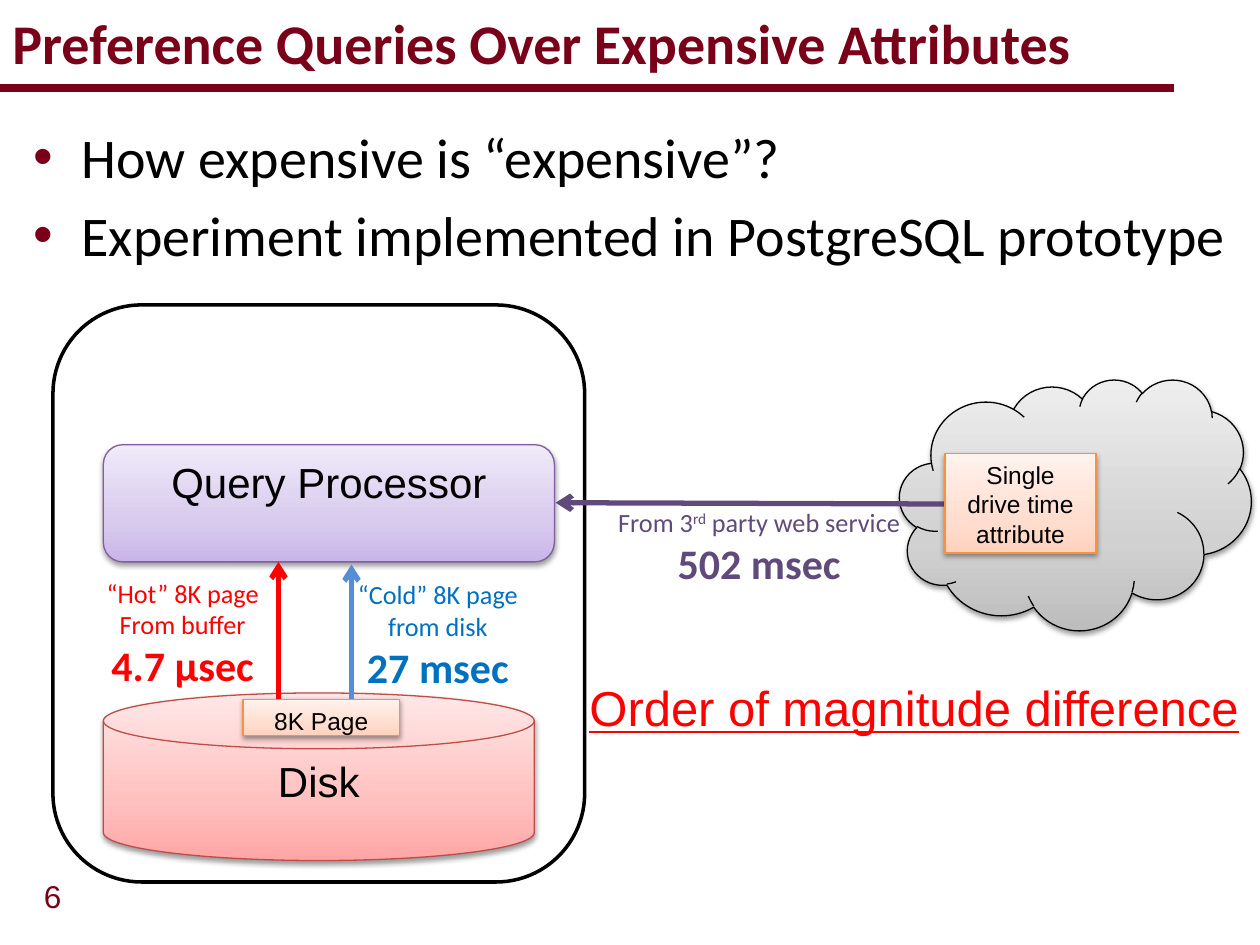
from lxml import etree
from pptx import Presentation
from pptx import util as u
from pptx.dml.color import RGBColor
from pptx.enum import shapes, text
from pptx.oxml import ns

COLORS = {
    "maroon": "7A0019", "black": "000000", "white": "FFFFFF", "red": "FF0000",
    "blue": "0070C0", "sky": "558ED5", "purple": "604A7B",
    "violet_line": "7D60A0", "rose_line": "BF4C48", "orange_line": "F69240",
}
GRADIENTS = {
    "violet": ("C9B5E8", "D8CBEE", "F0EAF9"),
    "rose": ("FFA6A5", "FFC0BF", "FFE7E7"),
    "gray": ("BDBDBD", "D1D1D1", "EEEEEE"),
    "orange": ("FFD2BD", "FFDED0", "FFF2ED"),
}
STOPS = (0, 35, 100)
SHAPE = shapes.MSO_SHAPE
CENTER = text.PP_ALIGN.CENTER
LEFT = text.PP_ALIGN.LEFT


def rgb(name):
    return RGBColor.from_string(COLORS[name])


def add_xml(parent, tag, **attributes):
    child = etree.SubElement(parent, ns.qn(tag))
    for key, value in attributes.items():
        child.set(key, str(value))
    return child


def write(para, content, size, color, font="Calibri", bold=False,
          underline=False, align=LEFT, raised=False):
    para.alignment = align
    span = para.add_run()
    span.text = content
    span.font.name = font
    span.font.size = u.Pt(size)
    span.font.bold = bold
    span.font.underline = underline
    span.font.color.rgb = rgb(color)
    if raised:
        span.font._element.set("baseline", "30000")


def add_box(page, left, top, width, height, wrap=True):
    box = page.shapes.add_textbox(u.Inches(left), u.Inches(top),
                                  u.Inches(width), u.Inches(height))
    box.text_frame.word_wrap = wrap
    return box.text_frame


def add_bullets(page, lines):
    frame = add_box(page, 0.17, 0.92, 9.67, 1.17)
    for index, line in enumerate(lines):
        para = frame.add_paragraph() if index else frame.paragraphs[0]
        properties = para._p.get_or_add_pPr()
        properties.set("marL", str(u.Inches(0.38)))
        properties.set("indent", str(-u.Inches(0.38)))
        bullet_color = add_xml(properties, "a:buClr")
        add_xml(bullet_color, "a:srgbClr", val=COLORS["maroon"])
        add_xml(properties, "a:buFont", typeface="Arial")
        add_xml(properties, "a:buChar", char="•")
        if index:
            para.space_before = u.Pt(6.4)
        write(para, line, 32, "black")


def add_cost(page, left, top, width, height, color, captions, cost):
    frame = add_box(page, left, top, width, height)
    para = frame.paragraphs[0]
    for index, caption in enumerate(captions):
        if index:
            para = frame.add_paragraph()
        for part, raised in caption:
            write(para, part, 15, color, align=CENTER, raised=raised)
    write(frame.add_paragraph(), cost, 24, color, bold=True, align=CENTER)


def add_outline(page, kind, left, top, width, height, line, weight):
    shape = page.shapes.add_shape(kind, u.Inches(left), u.Inches(top),
                                  u.Inches(width), u.Inches(height))
    shape.shadow.inherit = False
    shape.fill.solid()
    shape.fill.fore_color.rgb = rgb("white")
    shape.line.color.rgb = rgb(line)
    shape.line.width = u.Pt(weight)
    return shape


def add_shaded(page, kind, left, top, width, height, gradient, line,
               label="", size=24):
    shape = add_outline(page, kind, left, top, width, height, line, 0.75)
    shape.fill.gradient()
    shape.fill.gradient_angle = 90
    stops = shape._element.spPr.find(ns.qn("a:gradFill")).find(ns.qn("a:gsLst"))
    for stop in list(stops):
        stops.remove(stop)
    for position, color in zip(STOPS, GRADIENTS[gradient]):
        stop = add_xml(stops, "a:gs", pos=position * 1000)
        add_xml(stop, "a:srgbClr", val=color)
    effects = shape._element.spPr.find(ns.qn("a:effectLst"))
    shadow = add_xml(effects, "a:outerShdw", blurRad=u.Pt(3.1), dist=u.Pt(1.6),
                     dir=90 * 60000, rotWithShape=0)
    shade = add_xml(shadow, "a:srgbClr", val=COLORS["black"])
    add_xml(shade, "a:alpha", val=38000)
    if label:
        frame = shape.text_frame
        frame.word_wrap = True
        frame.vertical_anchor = text.MSO_ANCHOR.TOP
        write(frame.paragraphs[0], label, size, "black", "Arial", align=CENTER)


def add_line(page, start, end, color, weight, arrow=True):
    line = page.shapes.add_connector(
        shapes.MSO_CONNECTOR.STRAIGHT,
        *(u.Inches(value) for value in (*start, *end)))
    line.line.color.rgb = rgb(color)
    line.line.width = u.Pt(weight)
    if arrow:
        add_xml(line.line._get_or_add_ln(), "a:tailEnd", type="arrow")
    add_xml(line._element.spPr, "a:effectLst")


def add_heading(page):
    number = add_box(page, 0.25, 6.91, 0.51, 0.4, wrap=False)
    write(number.paragraphs[0], "6", 18, "maroon", "Arial")
    add_line(page, (-0.01, 0.7), (9.32, 0.7), "maroon", 4.5, arrow=False)
    title = add_box(page, 0, 0, 9.5, 0.67)
    title.vertical_anchor = text.MSO_ANCHOR.MIDDLE
    write(title.paragraphs[0], "Preference Queries Over Expensive Attributes",
          32, "maroon", bold=True)


def add_diagram(page):
    add_outline(page, SHAPE.ROUNDED_RECTANGLE, 0.42, 2.42, 4.22, 4.58, "black", 2)
    add_shaded(page, SHAPE.ROUNDED_RECTANGLE, 0.82, 3.53, 3.58, 0.93,
               "violet", "violet_line", "Query Processor")
    add_shaded(page, SHAPE.FLOWCHART_MAGNETIC_DISK, 0.82, 5.5, 3.42, 1.33,
               "rose", "rose_line", "Disk")
    add_shaded(page, SHAPE.CLOUD, 7.14, 3.01, 2.79, 1.99, "gray", "black")
    add_line(page, (2.21, 5.55), (2.21, 4.46), "red", 3)
    add_shaded(page, SHAPE.RECTANGLE, 1.93, 5.55, 1.24, 0.29,
               "orange", "orange_line", "8K Page", 14)
    add_line(page, (2.79, 5.55), (2.79, 4.48), "sky", 3)
    add_cost(page, 0.67, 4.53, 1.56, 1.01, "red",
             [[("“Hot” 8K page", False)], [("From buffer", False)]], "4.7 μsec")
    add_cost(page, 2.68, 4.54, 1.59, 1.01, "blue",
             [[("“Cold” 8K page", False)], [("from disk", False)]], "27 msec")
    add_line(page, (7.5, 4), (4.41, 3.99), "purple", 3)
    add_cost(page, 4.69, 3.97, 2.67, 0.76, "purple",
             [[("From 3", False), ("rd", True), (" party web service", False)]],
             "502 msec")
    add_shaded(page, SHAPE.RECTANGLE, 7.5, 3.6, 1.2, 0.79,
               "orange", "orange_line", "Single drive time attribute", 14)


def main():
    deck = Presentation()
    deck.slide_width, deck.slide_height = u.Inches(10), u.Inches(7.5)
    page = deck.slides.add_slide(deck.slide_layouts[6])
    add_heading(page)
    add_bullets(page, ["How expensive is “expensive”?",
                       "Experiment implemented in PostgreSQL prototype"])
    add_diagram(page)
    conclusion = add_box(page, 4.58, 5.33, 5.42, 0.57)
    write(conclusion.paragraphs[0], "Order of magnitude difference", 28, "red",
          "Arial", underline=True)
    deck.save("out.pptx")


if __name__ == "__main__":
    main()
